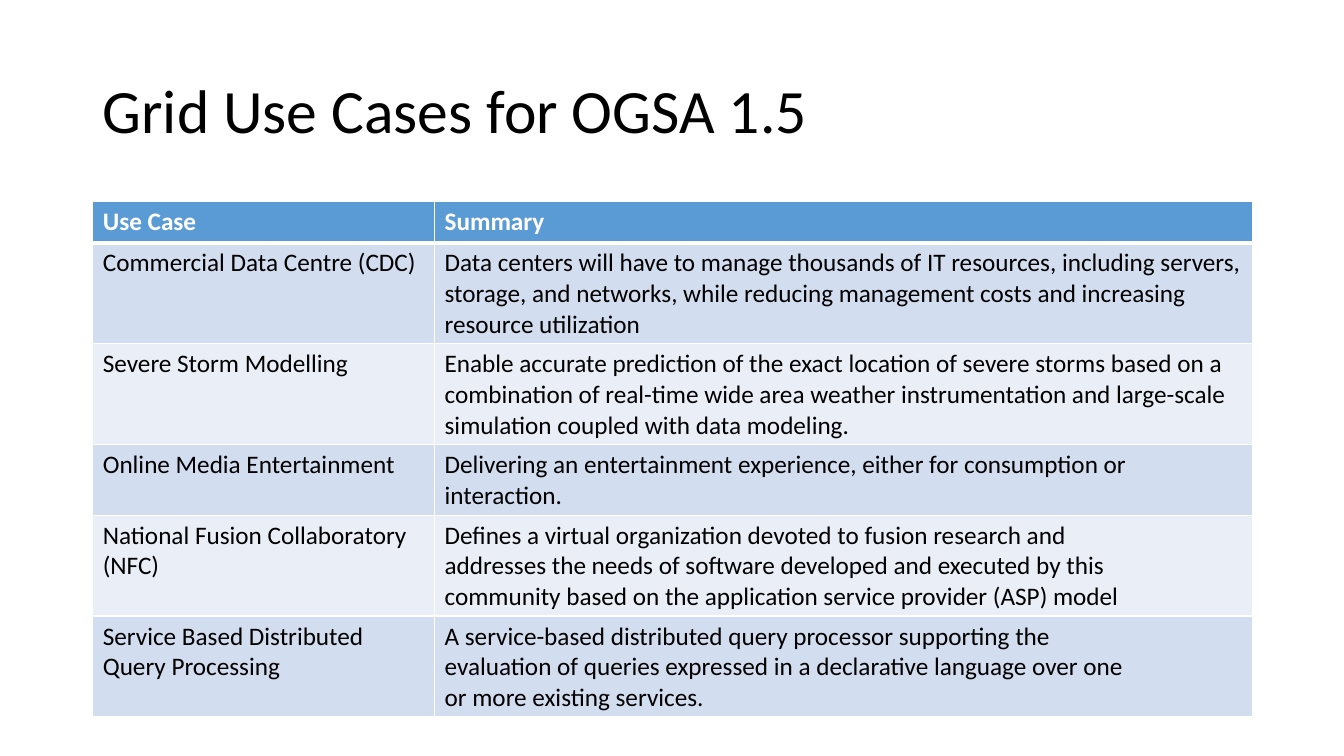
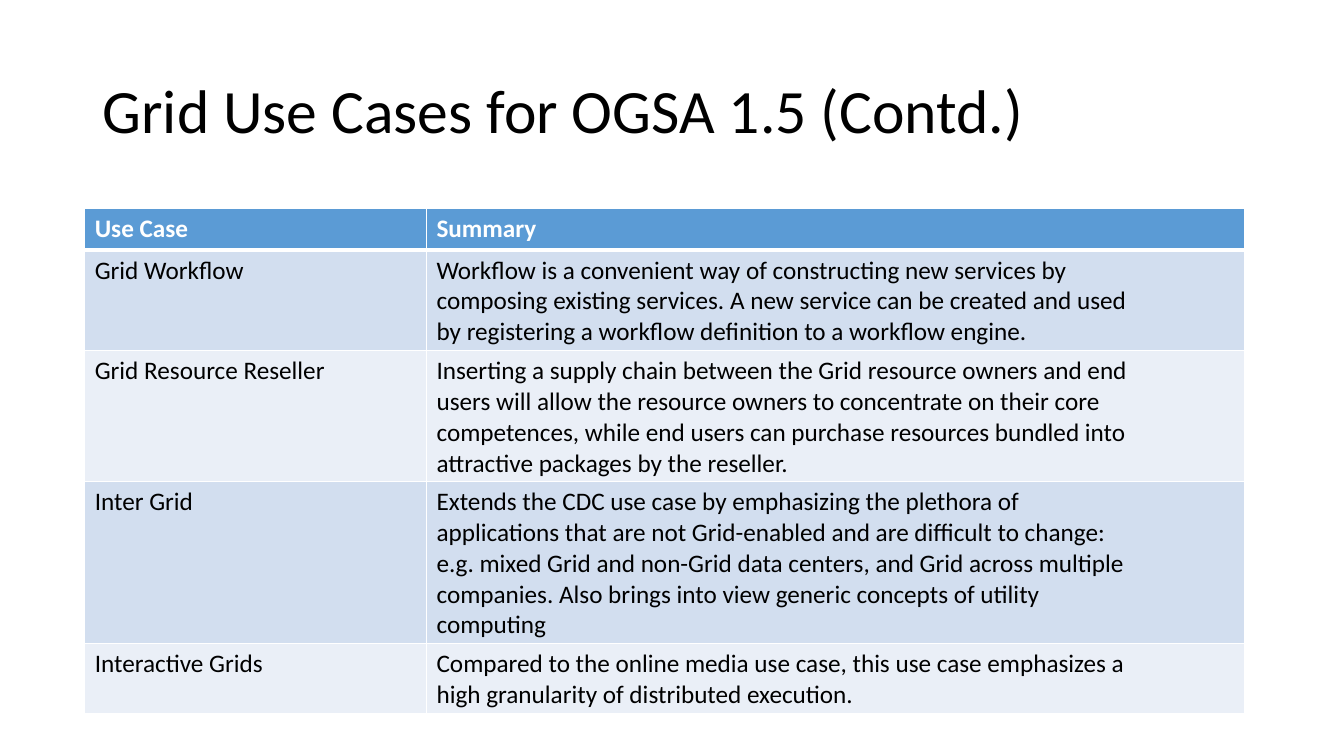
"""Build two slides that tabulate the Grid use cases for OGSA 1.5."""
from dataclasses import dataclass

from lxml.etree import SubElement
from pptx import Presentation
from pptx.dml.color import RGBColor
from pptx.enum.text import MSO_ANCHOR
from pptx.oxml.ns import qn
from pptx.util import Inches, Pt


@dataclass(frozen=True)
class Theme:
    font: str = "Calibri"
    title_size: int = 44
    body_size: int = 18
    text: str = "000000"
    white: str = "FFFFFF"
    header: str = "5B9BD5"
    bands: tuple = ("D2DEEF", "EAEFF7")
    thin: int = 1
    thick: int = 3


THEME = Theme()
TITLE_BOX = (0.92, 0.4, 11.5, 1.45)
COLUMN_WIDTHS = (3.39, 8.11)
ROW_HEIGHT = 0.41
HEADINGS = ("Use Case", "Summary")

SLIDES = [
    {
        "title": "Grid Use Cases for OGSA 1.5",
        "table_at": (0.92, 2),
        "cases": [
            ("Commercial Data Centre (CDC)",
             "Data centers will have to manage thousands of IT resources, including servers, "
             "storage, and networks, while reducing management costs and increasing "
             "resource utilization"),
            ("Severe Storm Modelling",
             "Enable accurate prediction of the exact location of severe storms based on a "
             "combination of real-time wide area weather instrumentation and large-scale "
             "simulation coupled with data modeling."),
            ("Online Media Entertainment",
             "Delivering an entertainment experience, either for consumption or\n"
             "interaction."),
            ("National Fusion Collaboratory (NFC)",
             "Defines a virtual organization devoted to fusion research and\n"
             "addresses the needs of software developed and executed by this\n"
             "community based on the application service provider (ASP) model"),
            ("Service Based Distributed Query Processing",
             "A service-based distributed query processor supporting the\n"
             "evaluation of queries expressed in a declarative language over one\n"
             "or more existing services."),
        ],
    },
    {
        "title": "Grid Use Cases for OGSA 1.5 (Contd.)",
        "table_at": (0.84, 2.07),
        "cases": [
            ("Grid Workflow",
             "Workflow is a convenient way of constructing new services by\n"
             "composing existing services. A new service can be created and used\n"
             "by registering a workflow definition to a workflow engine."),
            ("Grid Resource Reseller",
             "Inserting a supply chain between the Grid resource owners and end\n"
             "users will allow the resource owners to concentrate on their core\n"
             "competences, while end users can purchase resources bundled into\n"
             "attractive packages by the reseller."),
            ("Inter Grid",
             "Extends the CDC use case by emphasizing the plethora of\n"
             "applications that are not Grid-enabled and are difficult to change:\n"
             "e.g. mixed Grid and non-Grid data centers, and Grid across multiple\n"
             "companies. Also brings into view generic concepts of utility\n"
             "computing"),
            ("Interactive Grids",
             "Compared to the online media use case, this use case emphasizes a\n"
             "high granularity of distributed execution."),
        ],
    },
]


def write(tf, text, size=THEME.body_size, color=THEME.text, bold=False, spacing=None):
    """Fill a text frame, one paragraph for each line of text."""
    for i, line in enumerate(text.split("\n")):
        p = tf.add_paragraph() if i else tf.paragraphs[0]
        if spacing:
            p.line_spacing = spacing
        r = p.add_run()
        r.text = line
        r.font.name = THEME.font
        r.font.size = Pt(size)
        r.font.bold = bold
        r.font.color.rgb = RGBColor.from_string(color)


def set_borders(cell, **widths):
    """Draw white borders, with widths in points keyed by side."""
    tc_pr = cell._tc.get_or_add_tcPr()
    for side in "LRTB":
        ln = SubElement(tc_pr, qn(f"a:ln{side}"), w=str(Pt(widths.get(side, THEME.thin))))
        fill = SubElement(ln, qn("a:solidFill"))
        SubElement(fill, qn("a:srgbClr"), val=THEME.white)


def add_title(s, text):
    """Add the slide title."""
    tf = s.shapes.add_textbox(*map(Inches, TITLE_BOX)).text_frame
    tf.word_wrap = True
    tf.vertical_anchor = MSO_ANCHOR.MIDDLE
    write(tf, text, size=THEME.title_size, spacing=0.9)


def add_case_table(s, at, cases):
    """Add the banded table of use cases under its header row."""
    rows = [HEADINGS, *cases]
    size = (sum(COLUMN_WIDTHS), ROW_HEIGHT * len(rows))
    table = s.shapes.add_table(len(rows), len(HEADINGS), *map(Inches, at + size)).table
    for column, width in zip(table.columns, COLUMN_WIDTHS):
        column.width = Inches(width)
    for i, texts in enumerate(rows):
        table.rows[i].height = Inches(ROW_HEIGHT)
        header = i == 0
        fill = THEME.header if header else THEME.bands[(i - 1) % 2]
        borders = {0: {"B": THEME.thick}, 1: {"T": THEME.thick}}.get(i, {})
        for cell, text in zip(table.rows[i].cells, texts):
            set_borders(cell, **borders)
            cell.fill.solid()
            cell.fill.fore_color.rgb = RGBColor.from_string(fill)
            write(cell.text_frame, text, bold=header,
                  color=THEME.white if header else THEME.text)


def main():
    """Build and save the presentation."""
    prs = Presentation()
    prs.slide_width, prs.slide_height = Inches(13.33), Inches(7.5)
    for content in SLIDES:
        s = prs.slides.add_slide(prs.slide_layouts[6])
        add_title(s, content["title"])
        add_case_table(s, content["table_at"], content["cases"])
    prs.save("out.pptx")


if __name__ == "__main__":
    main()
